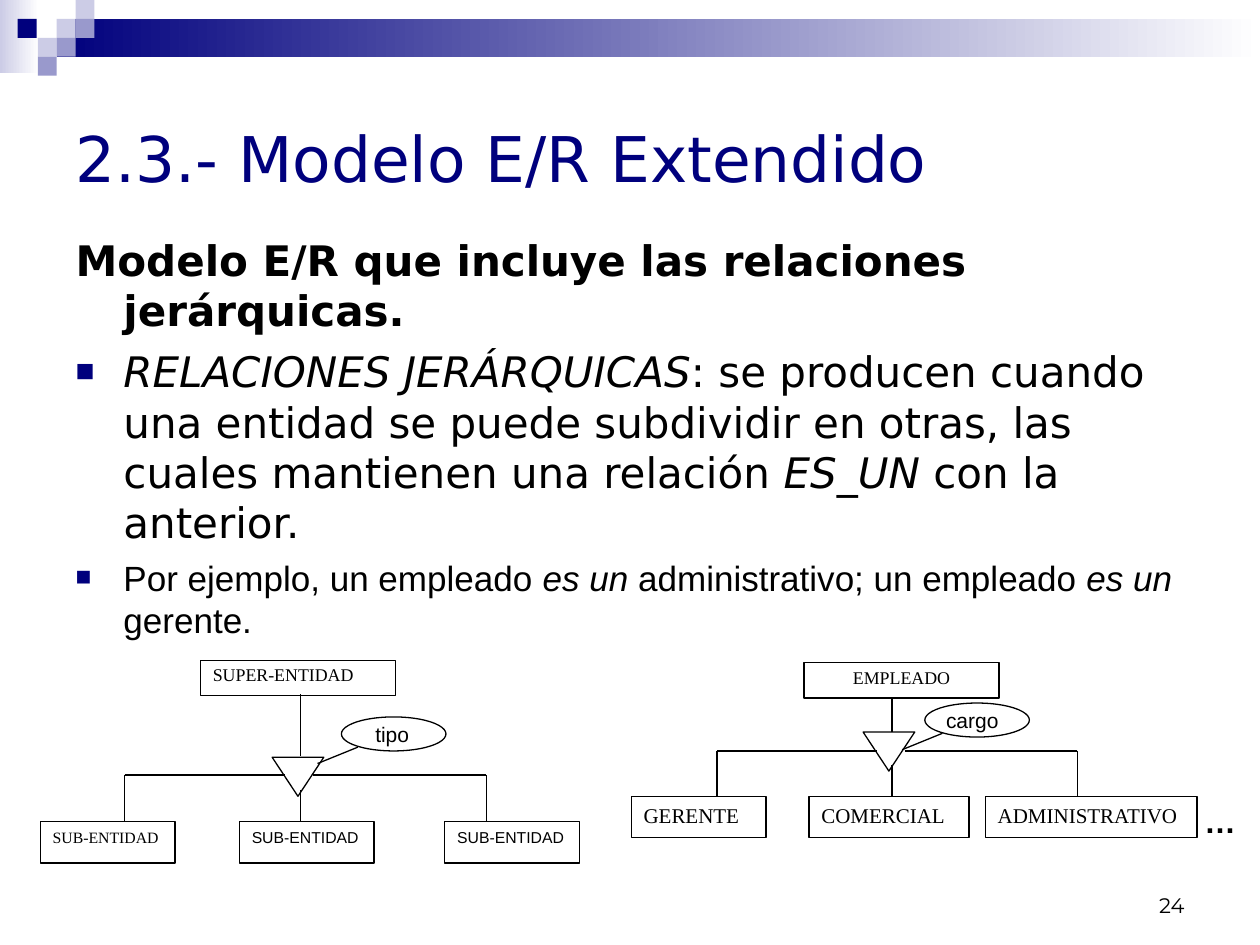
from lxml.etree import SubElement
from pptx import Presentation
from pptx.dml.color import RGBColor
from pptx.enum.shapes import MSO_CONNECTOR, MSO_SHAPE
from pptx.enum.text import MSO_ANCHOR, MSO_AUTO_SIZE, PP_ALIGN
from pptx.oxml.ns import qn
from pptx.util import Inches, Pt

NAVY, BLACK, WHITE = "00007D", "000000", "FFFFFF"
PALE, MID = "CCCCE6", "9999CC"
SANS, SERIF, ARIAL = "DejaVu Sans", "Times New Roman", "Arial"
color = RGBColor.from_string

deck = Presentation()
deck.slide_width, deck.slide_height = Inches(10), Inches(7.5)
slide = deck.slides.add_slide(deck.slide_layouts[1])


def draw(kind, at, fills, edge=True):
    """Add a preset shape with no fill, one colour or a two-colour gradient."""
    shape = slide.shapes.add_shape(kind, *map(Inches, at))
    shape.shadow.inherit = False
    if len(fills) == 2:
        shape.fill.gradient()
        shape.fill.gradient_angle = 0
        for stop, tone in zip(shape.fill.gradient_stops, fills):
            stop.color.rgb = color(tone)
    elif fills:
        shape.fill.solid()
        shape.fill.fore_color.rgb = color(fills[0])
    else:
        shape.fill.background()
    if edge:
        shape.line.color.rgb = color(BLACK)
        shape.line.width = Pt(0.75)
    else:
        shape.line.fill.background()
    return shape


def write(para, text, font, size, tone=BLACK, bold=False, italic=False):
    """Add one formatted run."""
    run = para.add_run()
    run.text = text
    run.font.name, run.font.size = font, Pt(size)
    run.font.bold, run.font.italic = bold, italic
    run.font.color.rgb = color(tone)


# Header bands and mosaic
draw(MSO_SHAPE.RECTANGLE, (0, 0, 0.31, 0.58), (PALE, WHITE), False)
draw(MSO_SHAPE.RECTANGLE, (0.45, 0.15, 9.55, 0.3), (NAVY, WHITE), False)
for left, top, tone in [
    (0.45, 0.15, PALE), (0.6, 0, PALE), (0.6, 0.15, MID), (0.3, 0.3, PALE),
    (0.14, 0.15, NAVY), (0.45, 0.3, MID), (0.3, 0.45, MID),
]:
    draw(MSO_SHAPE.RECTANGLE, (left, top, 0.15, 0.15), (tone,), False)

# Title
title = slide.shapes.title
title.left, title.top, title.width, title.height = map(Inches, (0.5, 0.5, 9, 1.5))
frame = title.text_frame
frame.auto_size = MSO_AUTO_SIZE.NONE
frame.vertical_anchor = MSO_ANCHOR.MIDDLE
frame.paragraphs[0].alignment = PP_ALIGN.LEFT
write(frame.paragraphs[0], "2.3.- Modelo E/R Extendido", SANS, 36, NAVY)

# Body: each paragraph alternates its runs between upright and italic
body = slide.placeholders[1]
body.left, body.top, body.width, body.height = map(Inches, (0.5, 1.81, 9, 5.31))
frame = body.text_frame
frame.auto_size = MSO_AUTO_SIZE.NONE
items = [
    (SANS, 24, 0, False, ["Modelo E/R que incluye las relaciones jerárquicas."]),
    (SANS, 24, 6, True, [
        "", "RELACIONES JERÁRQUICAS",
        ": se producen cuando una entidad se puede subdividir en otras, "
        "las cuales mantienen una relación ",
        "ES_UN", " con la anterior."]),
    (ARIAL, 20, 5, True, [
        "Por ejemplo, un empleado ", "es un ", "administrativo; un empleado ",
        "es un", " gerente."]),
]
for n, (font, size, gap, mark, parts) in enumerate(items):
    para = frame.add_paragraph() if n else frame.paragraphs[0]
    props = para._p.get_or_add_pPr()
    props.set("marL", str(Inches(0.38)))
    props.set("indent", str(-Inches(0.38)))
    if mark:
        tint = SubElement(props, qn("a:buClr"))
        SubElement(tint, qn("a:srgbClr"), val=NAVY)
        SubElement(props, qn("a:buSzPct"), val="75000")
        SubElement(props, qn("a:buFont"), typeface=ARIAL)
        SubElement(props, qn("a:buChar"), char="■")
    else:
        SubElement(props, qn("a:buNone"))
    para.space_before = Pt(gap)
    for k, part in enumerate(parts):
        if part:
            write(para, part, font, size, bold=not mark, italic=k % 2 == 1)

# Entity boxes of both hierarchies
for text, left, top, width, high, font, size in [
    ("SUPER-ENTIDAD", 1.59, 5.24, 1.55, 0.28, SERIF, 10.2),
    ("SUB-ENTIDAD", 0.32, 6.52, 1.07, 0.33, SERIF, 9),
    ("SUB-ENTIDAD", 1.9, 6.52, 1.07, 0.33, ARIAL, 9),
    ("SUB-ENTIDAD", 3.53, 6.52, 1.07, 0.33, ARIAL, 9),
    ("EMPLEADO", 6.38, 5.26, 1.55, 0.28, SERIF, 10.2),
    ("GERENTE", 5.01, 6.32, 1.07, 0.33, SERIF, 12),
    ("COMERCIAL", 6.42, 6.32, 1.27, 0.33, SERIF, 12),
    ("ADMINISTRATIVO", 7.82, 6.32, 1.68, 0.33, SERIF, 12),
]:
    box = draw(MSO_SHAPE.RECTANGLE, (left, top, width, high), (WHITE,))
    frame = box.text_frame
    frame.word_wrap = True
    frame.vertical_anchor = MSO_ANCHOR.TOP
    para = frame.paragraphs[0]
    para.alignment = PP_ALIGN.CENTER if text == "EMPLEADO" else PP_ALIGN.LEFT
    if size == 10.2:
        para.line_spacing = 0.9
    write(para, text, font, size)

# Triangles and attribute ovals
for left, top in [(2.16, 6.01), (6.85, 5.81)]:
    draw(MSO_SHAPE.FLOWCHART_MERGE, (left, top, 0.41, 0.31), (WHITE,))
for left, top in [(2.71, 5.69), (7.34, 5.58)]:
    draw(MSO_SHAPE.OVAL, (left, top, 0.83, 0.27), ())

# Branches: left, stem and right x, then parent, triangle, bar and child y
for west, stem, east, head, tip, bar, foot, link in [
    (0.99, 2.385, 3.86, 5.51, 6, 6.15, 6.52, (2.84, 5.93, 2.52, 6.06)),
    (5.69, 7.08, 8.55, 5.54, 5.81, 5.96, 6.32, (7.48, 5.82, 7.16, 5.95)),
]:
    for ends in [
        (stem, head, stem, tip), (stem, foot - 0.25, stem, foot),
        (west, foot, west, bar), (west, bar, stem - 0.12, bar),
        (stem + 0.1, bar, east, bar), (east, bar, east, foot), link,
    ]:
        line = slide.shapes.add_connector(MSO_CONNECTOR.STRAIGHT, *map(Inches, ends))
        line.line.color.rgb = color(BLACK)
        line.line.width = Pt(0.75)
        SubElement(line._element.spPr, qn("a:effectLst"))

# Free labels and page number
for text, at, font, size, bold in [
    ("tipo", (2.88, 5.68, 0.65, 0.3), ARIAL, 12, False),
    ("cargo", (7.41, 5.57, 0.91, 0.3), ARIAL, 12, False),
    ("…", (9.46, 6.32, 0.41, 0.4), ARIAL, 18, True),
    ("24", (7.17, 6.83, 2.33, 0.5), "Montserrat", 12, False),
]:
    frame = slide.shapes.add_textbox(*map(Inches, at)).text_frame
    frame.word_wrap = True
    para = frame.paragraphs[0]
    if text == "24":
        frame.vertical_anchor = MSO_ANCHOR.BOTTOM
        para.alignment = PP_ALIGN.RIGHT
    write(para, text, font, size, bold=bold)

deck.save("out.pptx")
